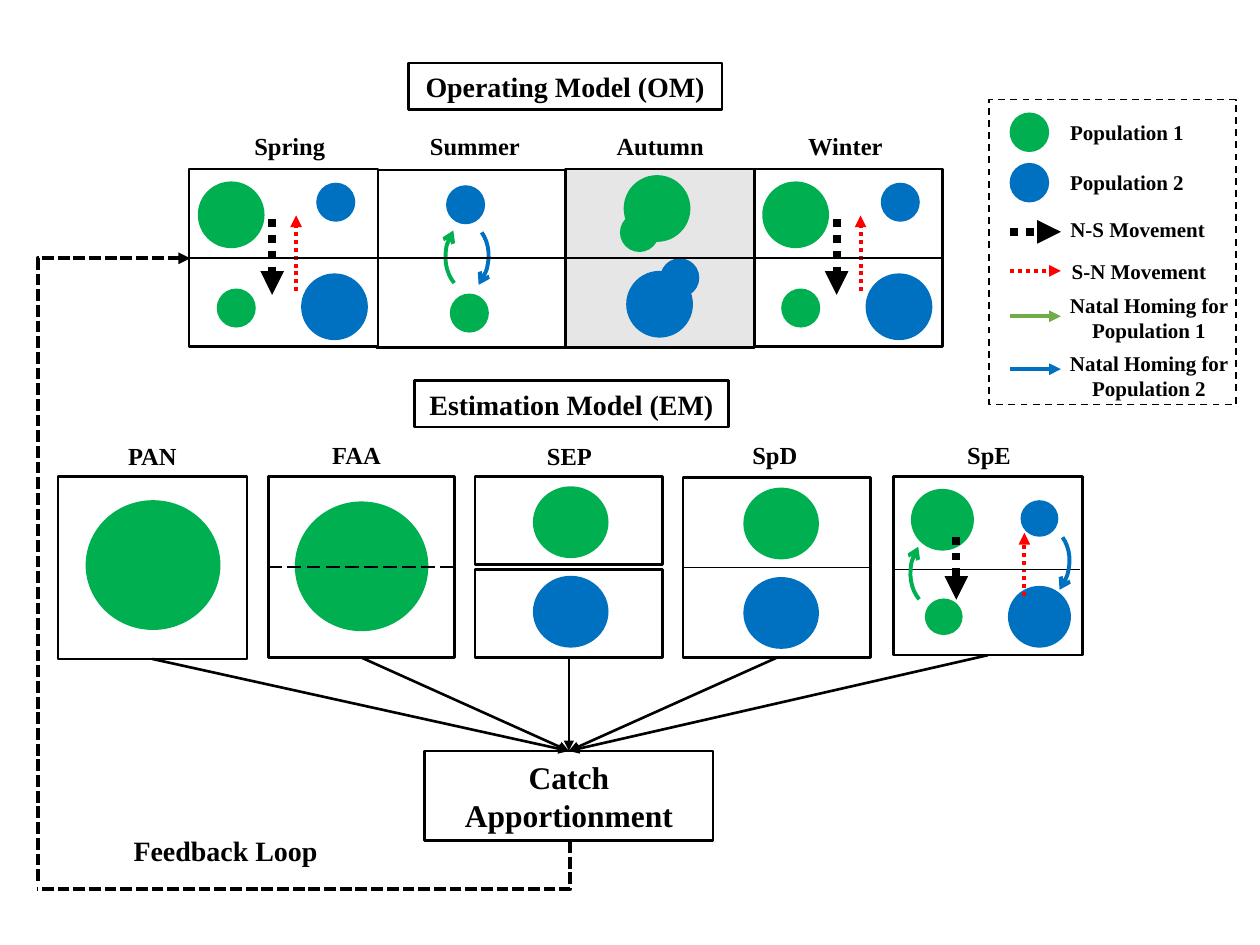
from dataclasses import dataclass

from lxml import etree
from pptx import Presentation
from pptx.dml.color import RGBColor
from pptx.enum.dml import MSO_LINE_DASH_STYLE as Dash
from pptx.enum.shapes import MSO_CONNECTOR_TYPE as Link, MSO_SHAPE as Preset
from pptx.enum.text import MSO_ANCHOR as Anchor, PP_ALIGN as Align
from pptx.oxml.ns import qn
from pptx.util import Inches, Pt

BLACK, WHITE, GREY, RED = "000000", "FFFFFF", "E7E6E6", "FF0000"
GREEN, BLUE, LEGEND_GREEN = "00B050", "0070C0", "70AD47"
TOP, LEFT, BOTTOM, RIGHT = range(4)


@dataclass
class Stroke:
    color: str = BLACK
    width: float = 1.5
    dash: object = None


@dataclass
class LegendRow:
    text: str
    box: tuple
    line_y: float
    stroke: Stroke


THIN = Stroke(width=1)
SOUTHWARD = Stroke(BLACK, 4.5, Dash.ROUND_DOT)
NORTHWARD = Stroke(RED, 2.25, Dash.ROUND_DOT)
FEEDBACK = Stroke(BLACK, 2.25, Dash.SQUARE_DOT)

presentation = Presentation()
presentation.slide_width, presentation.slide_height = Inches(10), Inches(7.5)
slide = presentation.slides.add_slide(presentation.slide_layouts[6])


def rgb(color: str) -> RGBColor:
    return RGBColor.from_string(color)


def apply_stroke(line, stroke: Stroke) -> None:
    line.color.rgb = rgb(stroke.color)
    line.width = Pt(stroke.width)
    if stroke.dash is not None:
        line.dash_style = stroke.dash


def add_arrowhead(line, end: str = "tailEnd", kind: str = "triangle") -> None:
    etree.SubElement(line._get_or_add_ln(), qn(f"a:{end}"), type=kind)


def add_shape(preset, box: tuple, fill: str = "", stroke: Stroke = None):
    shape = slide.shapes.add_shape(preset, *map(Inches, box))
    shape.shadow.inherit = False
    if fill:
        shape.fill.solid()
        shape.fill.fore_color.rgb = rgb(fill)
    else:
        shape.fill.background()
    if stroke:
        apply_stroke(shape.line, stroke)
    else:
        shape.line.fill.background()
    return shape


def add_panel(box: tuple, fill: str = WHITE):
    return add_shape(Preset.RECTANGLE, box, fill, Stroke())


def add_circle(x: float, y: float, color: str, width: float, height: float = 0) -> None:
    add_shape(Preset.OVAL, (x, y, width, height or width), color)


def write(shape, text: str, size: float) -> None:
    paragraph = shape.text_frame.paragraphs[0]
    paragraph.alignment = Align.CENTER
    run = paragraph.add_run()
    run.text = text
    run.font.name, run.font.size, run.font.bold = "Times New Roman", Pt(size), True
    run.font.color.rgb = rgb(BLACK)


def add_label(text: str, box: tuple, size: float) -> None:
    label = slide.shapes.add_textbox(*map(Inches, box))
    label.text_frame.word_wrap = True
    write(label, text, size)


def add_title_box(text: str, box: tuple, size: float):
    shape = add_shape(Preset.RECTANGLE, box, stroke=Stroke())
    shape.text_frame.vertical_anchor = Anchor.MIDDLE
    write(shape, text, size)
    return shape


def add_line(start: tuple, end: tuple, stroke: Stroke, arrow: bool = False):
    line = slide.shapes.add_connector(Link.STRAIGHT, *map(Inches, start + end))
    apply_stroke(line.line, stroke)
    if arrow:
        add_arrowhead(line.line)
    etree.SubElement(line._element.spPr, qn("a:effectLst"))
    return line


def join(first, first_side: int, second, second_side: int, stroke: Stroke, arrow: bool = False) -> None:
    line = add_line((0, 0), (1, 1), stroke, arrow)
    line.begin_connect(first, first_side)
    line.end_connect(second, second_side)


def add_corner(box: tuple, rotation: int, flipped: bool = False) -> None:
    x, y, width, height = box
    corner = slide.shapes.add_connector(Link.ELBOW, *map(Inches, (x, y, x + width, y + height)))
    properties = corner._element.spPr
    properties.find(qn("a:prstGeom")).set("prst", "bentConnector2")
    transform = properties.find(qn("a:xfrm"))
    transform.set("rot", str(rotation * 60000))
    apply_stroke(corner.line, FEEDBACK)
    if flipped:
        transform.set("flipV", "1")
        add_arrowhead(corner.line, "headEnd")
    etree.SubElement(properties, qn("a:effectLst"))


def add_homing_arc(x: float, y: float, color: str, rotation: float) -> None:
    arc = add_shape(Preset.ARC, (x, y, 0.63, 0.73), stroke=Stroke(color, 2.25))
    arc.adjustments[0] = 170.47
    arc.rotation = rotation
    add_arrowhead(arc.line, kind="arrow")


def add_movement(south_x: float, north_x: float, top: float, length: float) -> None:
    north_top = top - 0.03
    add_line((south_x, top), (south_x, top + length), SOUTHWARD, True)
    add_line((north_x, north_top + length), (north_x, north_top), NORTHWARD, True)


def add_mixing_season(x: float):
    panel = add_panel((x, 1.34, 1.5, 1.41))
    add_circle(x + 0.07, 1.44, GREEN, 0.53)
    add_circle(x + 0.89, 2.17, BLUE, 0.53)
    add_circle(x + 0.22, 2.29, GREEN, 0.31)
    add_circle(x + 1.01, 1.45, BLUE, 0.31)
    add_movement(x + 0.66, x + 0.85, 1.74, 0.6)
    return panel


def add_population_pair(x: float, top: float) -> None:
    for y, color in ((top, GREEN), (top + 0.71, BLUE)):
        add_circle(x, y, color, 0.6, 0.57)


# Operating model: four seasons
add_title_box("Operating Model (OM)", (3.24, 0.5, 2.49, 0.37), 16)
for index, season in enumerate(("Spring", "Summer", "Autumn", "Winter")):
    add_label(season, (1.7 + 1.47 * index, 0.99, 1.2, 0.34), 14)

winter = add_mixing_season(5.98)
add_panel((4.49, 1.34, 1.5, 1.42), GREY)
add_circle(4.95, 1.39, GREEN, 0.53)
add_circle(4.92, 1.69, GREEN, 0.31)
add_circle(4.97, 2.15, BLUE, 0.53)
add_circle(5.24, 2.05, BLUE, 0.31)
add_panel((2.99, 1.35, 1.5, 1.41))
add_circle(3.57, 2.33, GREEN, 0.31)
add_circle(3.54, 1.47, BLUE, 0.31)
spring = add_mixing_season(1.5)
add_homing_arc(3.55, 1.63, GREEN, 211.9)
add_homing_arc(3.23, 1.71, BLUE, 36.2)
join(spring, LEFT, winter, RIGHT, THIN)

# Legend
add_shape(Preset.RECTANGLE, (7.85, 0.79, 1.96, 2.42), stroke=Stroke(width=1, dash=Dash.DASH))
for number, (y, color) in enumerate(((0.9, GREEN), (1.3, BLUE)), 1):
    add_shape(Preset.OVAL, (8.02, y, 0.3, 0.3), color, Stroke(color, 1))
    add_label(f"Population {number}", (8.07, y, 1.75, 0.3), 12)
for row in (
    LegendRow("N-S Movement", (8.23, 1.67, 1.6, 0.3), 1.84, SOUTHWARD),
    LegendRow("S-N Movement", (8.24, 2, 1.6, 0.3), 2.15, NORTHWARD),
    LegendRow("Natal Homing for Population 1", (8.35, 2.27, 1.54, 0.5), 2.51, Stroke(LEGEND_GREEN, 2.25)),
    LegendRow("Natal Homing for Population 2", (8.35, 2.73, 1.54, 0.5), 2.93, Stroke(BLUE, 2.25)),
):
    add_line((8.02, row.line_y), (8.42, row.line_y), row.stroke, True)
    add_label(row.text, row.box, 12)

# Estimation models
add_title_box("Estimation Model (EM)", (3.29, 3.02, 2.49, 0.37), 16)
for name, x, y in (("PAN", 0.81, 3.45), ("FAA", 2.43, 3.44), ("SEP", 4.12, 3.45),
                   ("SpD", 5.75, 3.44), ("SpE", 7.45, 3.44)):
    add_label(name, (x, y, 0.8, 0.34), 14)

pan = add_panel((0.46, 3.78, 1.5, 1.45))
add_circle(0.68, 3.97, GREEN, 1.07, 1.03)

faa = add_panel((2.13, 3.78, 1.48, 1.44))
add_circle(2.34, 3.98, GREEN, 1.06, 1.03)
join(faa, LEFT, faa, RIGHT, Stroke(width=1, dash=Dash.LONG_DASH))

add_panel((3.77, 3.78, 1.49, 0.7))
sep = add_panel((3.77, 4.52, 1.49, 0.7))
add_population_pair(4.23, 3.86)

spd = add_panel((5.42, 3.79, 1.49, 1.43))
add_population_pair(5.9, 3.87)
join(spd, LEFT, spd, RIGHT, THIN)

spe = add_panel((7.09, 3.78, 1.5, 1.42))
add_circle(7.23, 3.88, GREEN, 0.5, 0.49)
add_circle(8, 4.65, BLUE, 0.5, 0.49)
add_circle(7.34, 4.75, GREEN, 0.3, 0.29)
add_circle(8.1, 3.97, BLUE, 0.3, 0.29)
add_movement(7.59, 8.13, 4.26, 0.5)
add_line((7.09, 4.52), (8.57, 4.52), THIN)
add_homing_arc(7.84, 4.13, BLUE, 36.2)
add_homing_arc(7.24, 4.14, GREEN, 211.9)

# Catch apportionment and feedback loop
catch = add_title_box("Catch Apportionment", (3.37, 5.96, 2.29, 0.71), 18)
for model in (pan, faa, sep, spd, spe):
    join(model, BOTTOM, catch, TOP, Stroke(), True)
add_label("Feedback Loop", (0.85, 6.57, 1.88, 0.37), 16)
add_corner((2.22, 4.75, 0.38, 4.23), 90)
add_corner((0.3, 2.05, 1.21, 4.97), 180, flipped=True)

presentation.save("out.pptx")
